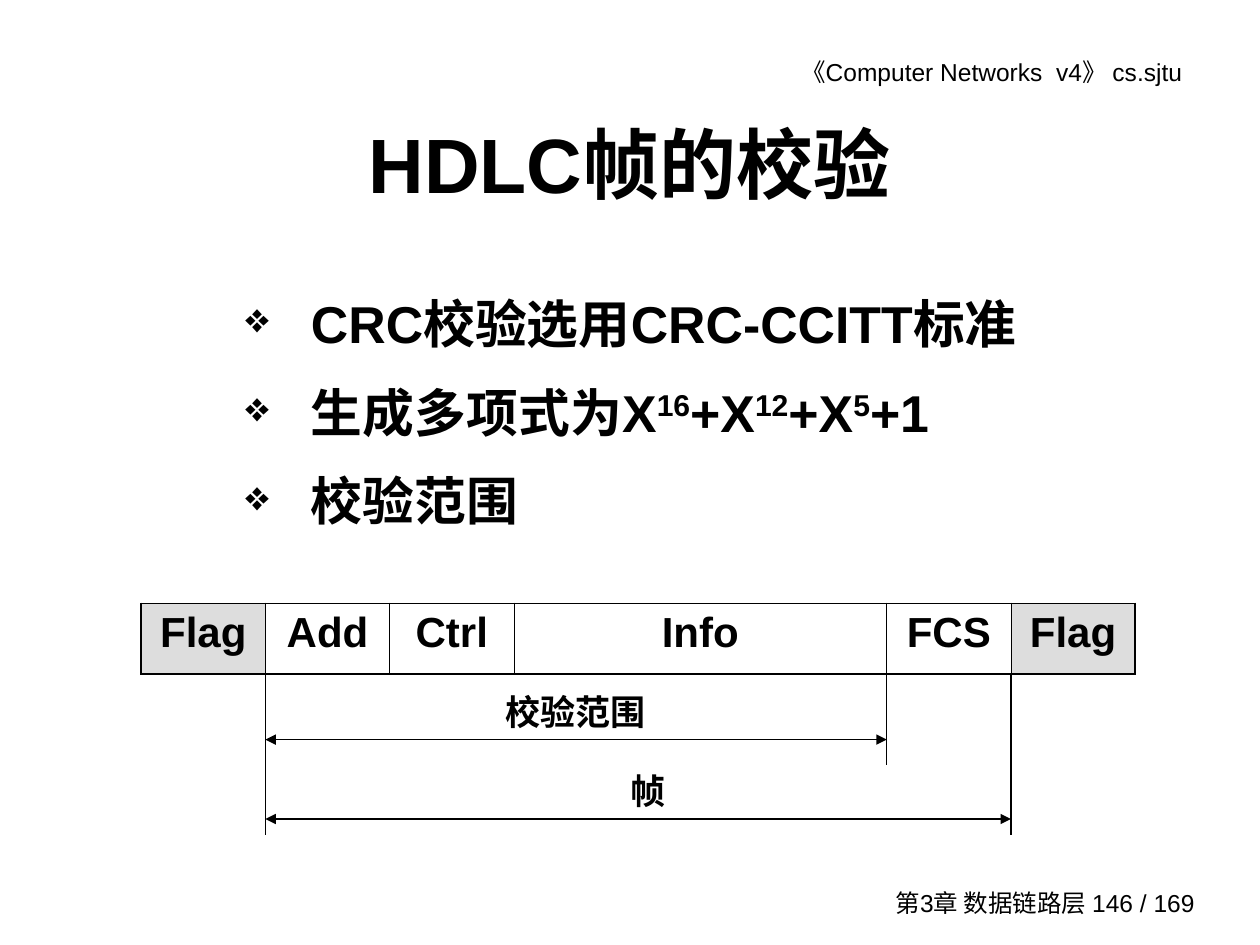
from dataclasses import dataclass
from itertools import accumulate

from lxml.etree import SubElement
from pptx import Presentation
from pptx.dml.color import RGBColor
from pptx.enum.shapes import MSO_CONNECTOR
from pptx.enum.text import MSO_ANCHOR as Anchor, MSO_AUTO_SIZE as AutoSize, PP_ALIGN as Align
from pptx.oxml.ns import qn
from pptx.util import Inches, Pt

BLACK = RGBColor(0x00, 0x00, 0x00)
GREY = RGBColor(0xDD, 0xDD, 0xDD)

TABLE_LEFT, TABLE_TOP, TABLE_WIDTH, TABLE_HEIGHT = 1.12, 4.79, 7.89, 0.56
TABLE_BOTTOM = TABLE_TOP + TABLE_HEIGHT
THICK, THIN = 1.08, 0.45


@dataclass(frozen=True)
class Field:
    name: str
    units: int = 1
    shaded: bool = False


@dataclass(frozen=True)
class Label:
    text: str
    left: float
    top: float
    width: float
    height: float
    size: float = 14
    font: str = "Arial"
    bold: bool = False
    align: Align = Align.RIGHT
    anchor: Anchor = Anchor.TOP


@dataclass(frozen=True)
class Extent:
    first: int  # table edge where the arrow starts
    last: int  # table edge where the arrow ends
    level: float


@dataclass(frozen=True)
class Span:
    text: str
    raised: bool = False


FIELDS = [Field("Flag", shaded=True), Field("Add"), Field("Ctrl"),
          Field("Info", units=3), Field("FCS"), Field("Flag", shaded=True)]
UNIT = TABLE_WIDTH / sum(field.units for field in FIELDS)
EDGES = [TABLE_LEFT + UNIT * units
         for units in accumulate((field.units for field in FIELDS), initial=0)]

BULLETS = [
    [Span("CRC校验选用CRC-CCITT标准")],
    [Span("生成多项式为X"), Span("16", True), Span("+X"), Span("12", True),
     Span("+X"), Span("5", True), Span("+1")],
    [Span("校验范围")],
]
LABELS = [
    Label("《Computer Networks  v4》 cs.sjtu", 5.27, 0.4, 4.21, 0.34),
    Label("第3章 数据链路层 146 / 169", 6.94, 7, 2.64, 0.33, anchor=Anchor.MIDDLE),
    Label("校验范围", 3.68, 5.43, 1.78, 0.44, 20, "Times New Roman", True, Align.CENTER),
    Label("帧", 4.84, 6.06, 0.61, 0.44, 20, "Times New Roman", True, Align.CENTER),
]
EXTENTS = [Extent(1, 4, 5.87), Extent(1, 5, 6.5)]
EDGE_ENDS = {1: 6.63, 4: 6.07, 5: 6.63}  # table edge: lower end of its guide line


def add_span(para, text: str, size: float, font: str = "Arial", bold: bool = True):
    span = para.add_run()
    span.text = text
    span.font.name = font
    span.font.size = Pt(size)
    span.font.bold = bold
    span.font.color.rgb = BLACK
    return span


def add_box(page, left: float, top: float, width: float, height: float):
    box = page.shapes.add_textbox(Inches(left), Inches(top), Inches(width), Inches(height))
    box.text_frame.word_wrap = True
    return box.text_frame


def add_label(page, label: Label) -> None:
    frame = add_box(page, label.left, label.top, label.width, label.height)
    frame.vertical_anchor = label.anchor
    para = frame.paragraphs[0]
    para.alignment = label.align
    add_span(para, label.text, label.size, label.font, label.bold)


def add_title(page, text: str) -> None:
    title = page.shapes.title
    title.left, title.top = Inches(0.75), Inches(0.67)
    title.width, title.height = Inches(8.5), Inches(1.25)
    frame = title.text_frame
    frame.auto_size = AutoSize.NONE
    frame.vertical_anchor = Anchor.MIDDLE
    para = frame.paragraphs[0]
    para.alignment = Align.CENTER
    add_span(para, text, 44)


def set_bullet(para) -> None:
    properties = para._p.get_or_add_pPr()
    properties.set("marL", str(Inches(0.52)))
    properties.set("indent", str(-Inches(0.52)))
    colour = SubElement(properties, qn("a:buClr"))
    SubElement(colour, qn("a:srgbClr")).set("val", str(BLACK))
    SubElement(properties, qn("a:buSzPct")).set("val", "80000")
    SubElement(properties, qn("a:buChar")).set("char", "❖")


def add_bullets(page, bullets: list[list[Span]]) -> None:
    frame = add_box(page, 1.85, 2.17, 6.84, 2.63)
    for number, spans in enumerate(bullets):
        para = frame.add_paragraph() if number else frame.paragraphs[0]
        set_bullet(para)
        para.line_spacing = 1.2
        if number:
            para.space_before = Pt(8)
        for part in spans:
            span = add_span(para, part.text, 29.6)
            if part.raised:
                span._r.get_or_add_rPr().set("baseline", "30000")


def set_border(cell, side: str, width: float) -> None:
    line = SubElement(cell._tc.get_or_add_tcPr(), qn(f"a:ln{side}"))
    line.set("w", str(Pt(width)))
    fill = SubElement(line, qn("a:solidFill"))
    SubElement(fill, qn("a:srgbClr")).set("val", str(BLACK))


def add_frame_table(page, fields: list[Field]) -> None:
    table = page.shapes.add_table(1, len(fields), Inches(TABLE_LEFT), Inches(TABLE_TOP),
                                  Inches(TABLE_WIDTH), Inches(TABLE_HEIGHT)).table
    table.first_row = table.horz_banding = False
    last = len(fields) - 1
    for number, field in enumerate(fields):
        table.columns[number].width = Inches(UNIT * field.units)
        cell = table.cell(0, number)
        for side, width in (("L", THIN if number else THICK),
                            ("R", THIN if number < last else THICK),
                            ("T", THICK), ("B", THICK)):
            set_border(cell, side, width)
        if field.shaded:
            cell.fill.solid()
            cell.fill.fore_color.rgb = GREY
        else:
            cell.fill.background()
        para = cell.text_frame.paragraphs[0]
        para.alignment = Align.CENTER
        add_span(para, field.name, 24)


def add_line(page, x1: float, y1: float, x2: float, y2: float, arrows: bool = False) -> None:
    line = page.shapes.add_connector(MSO_CONNECTOR.STRAIGHT, Inches(x1), Inches(y1),
                                     Inches(x2), Inches(y2))
    line.line.color.rgb = BLACK
    line.line.width = Pt(0.75)
    if arrows:
        for end in ("a:headEnd", "a:tailEnd"):
            SubElement(line.line._get_or_add_ln(), qn(end)).set("type", "triangle")
    SubElement(line._element.spPr, qn("a:effectLst"))


def main() -> None:
    deck = Presentation()
    deck.slide_width, deck.slide_height = Inches(10), Inches(7.5)
    page = deck.slides.add_slide(deck.slide_layouts[5])

    # Title, bullets and the HDLC frame
    add_title(page, "HDLC帧的校验")
    add_bullets(page, BULLETS)
    add_frame_table(page, FIELDS)

    # Guide lines below the frame and the extents between them
    for edge, end in EDGE_ENDS.items():
        add_line(page, EDGES[edge], TABLE_BOTTOM, EDGES[edge], end)
    for extent in EXTENTS:
        add_line(page, EDGES[extent.first], extent.level,
                 EDGES[extent.last], extent.level, arrows=True)

    # Header, footer and extent captions
    for label in LABELS:
        add_label(page, label)

    deck.save("out.pptx")


if __name__ == "__main__":
    main()
